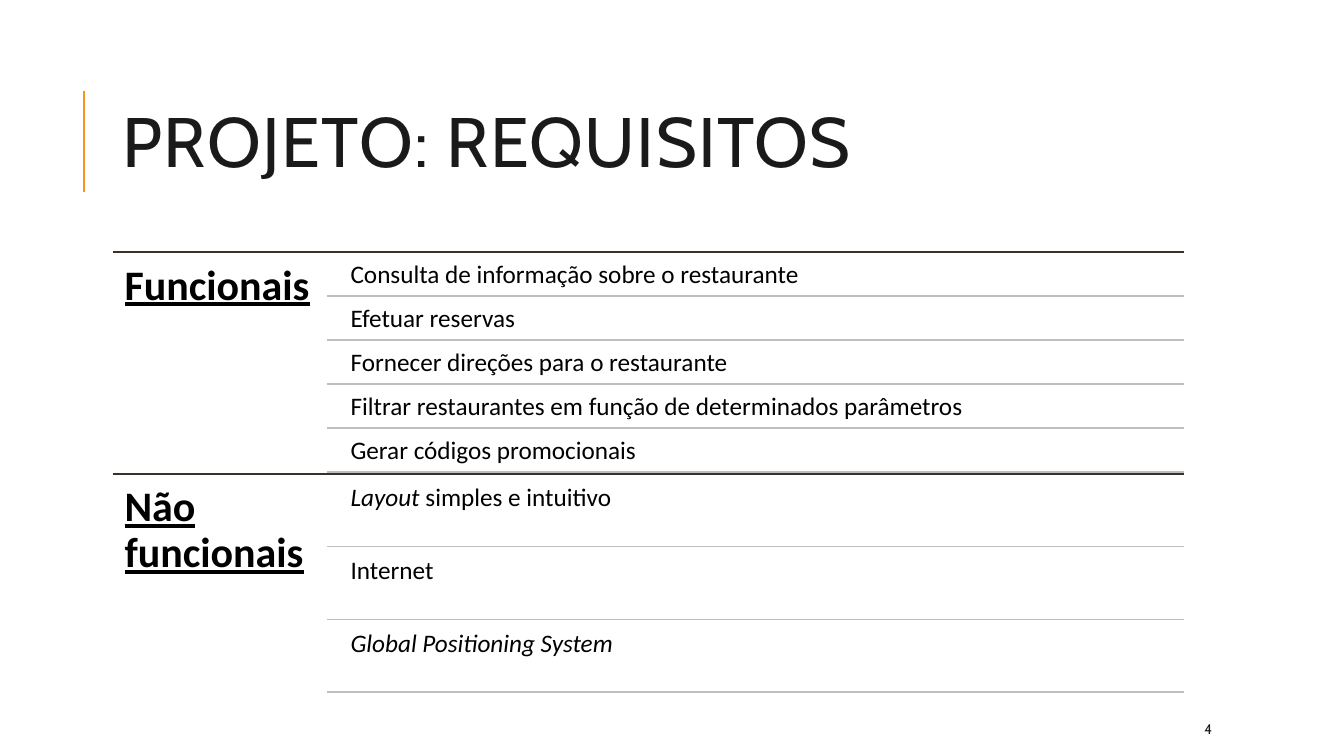
from pptx import Presentation
from pptx.dml.color import RGBColor
from pptx.enum import shapes, text
from pptx.oxml.ns import qn
from pptx.util import Cm, Pt

INK = RGBColor(0x1A, 0x1A, 0x1A)
BLACK = RGBColor(0, 0, 0)
ORANGE = RGBColor(0xF8, 0x93, 0x1D)
BROWN = RGBColor(0x39, 0x30, 0x2A)
GREY = RGBColor(0xBF, 0xBE, 0xBE)

HEADING = {"name": "Cabin", "size": Pt(50)}
NUMBER = {"name": "Cabin", "size": Pt(10)}
LABEL = {"name": "Calibri", "size": Pt(30), "bold": True, "underline": True}
ITEM = {"name": "Calibri", "size": Pt(18)}
ITALIC = {**ITEM, "italic": True}

FUNCTIONAL = [
    [("Consulta de informação sobre o restaurante", ITEM)],
    [("Efetuar reservas", ITEM)],
    [("Fornecer direções para o restaurante", ITEM)],
    [("Filtrar restaurantes em função de determinados parâmetros", ITEM)],
    [("Gerar códigos promocionais", ITEM)],
]
NON_FUNCTIONAL = [
    [("Layout", ITALIC), (" simples e intuitivo", ITEM)],
    [("Internet", ITEM)],
    [("Global Positioning System", ITALIC)],
]


def add_line(s, x1, y1, x2, y2, color, width=1.25):
    line = s.shapes.add_connector(
        shapes.MSO_CONNECTOR.STRAIGHT, Cm(x1), Cm(y1), Cm(x2), Cm(y2))
    line.line.color.rgb = color
    line.line.width = Pt(width)
    sp_pr = line._element.spPr
    sp_pr.append(sp_pr.makeelement(qn("a:effectLst"), {}))


def add_text(s, x, y, w, h, runs, color, inset=None, spacing=1.0,
             anchor=text.MSO_ANCHOR.TOP):
    tf = s.shapes.add_textbox(Cm(x), Cm(y), Cm(w), Cm(h)).text_frame
    tf.word_wrap = True
    tf.vertical_anchor = anchor
    if inset is not None:
        for side in ("left", "top", "right", "bottom"):
            setattr(tf, f"margin_{side}", Cm(inset))
    p = tf.paragraphs[0]
    p.line_spacing = spacing
    for words, style in runs:
        r = p.add_run()
        r.text = words
        r.font.color.rgb = color
        for key, value in style.items():
            setattr(r.font, key, value)
    return p


def add_title(s, x, y, w, h, words):
    add_line(s, x - 0.73, y + 0.66, x - 0.73, y + 3.2, ORANGE, 1.5)
    p = add_text(s, x, y, w, h, [(words, HEADING)], INK, spacing=0.8,
                 anchor=text.MSO_ANCHOR.MIDDLE)
    p.runs[0].font._element.set("spc", "100")


def add_requirements(s, x, y, w, h, label, items):
    label_w = 0.2 * w
    item_x = x + 0.215 * w
    gap_share = 0.05
    row_h = h / (len(items) * (1 + gap_share) + gap_share)
    gap = gap_share * row_h
    add_line(s, x, y, x + w, y, BROWN)
    add_text(s, x, y, label_w, h, [(label, LABEL)], BLACK, 0.3, 0.9)
    for i, runs in enumerate(items):
        top = y + gap + i * (row_h + gap)
        add_text(s, item_x, top, x + w - item_x, row_h, runs, BLACK, 0.19, 0.9)
        add_line(s, x + label_w, top + row_h, x + w, top + row_h, GREY)


def add_page_number(s, x, y, w, h, number):
    add_text(s, x, y, w, h, [(number, NUMBER)], INK,
             anchor=text.MSO_ANCHOR.MIDDLE)


prs = Presentation()
prs.slide_width, prs.slide_height = Cm(33.87), Cm(19.05)
s = prs.slides.add_slide(prs.slide_layouts[6])

LEFT, WIDTH, TOP, BLOCK_H = 2.84, 27, 6.35, 5.59
add_title(s, LEFT, 1.63, WIDTH, 4.17, "PROJETO: REQUISITOS")
groups = [("Funcionais", FUNCTIONAL), ("Não funcionais", NON_FUNCTIONAL)]
for i, (label, items) in enumerate(groups):
    add_requirements(s, LEFT, TOP + i * BLOCK_H, WIDTH, BLOCK_H, label, items)
add_page_number(s, 30.1, 17.98, 2.7, 0.76, "4")

prs.save("out.pptx")
